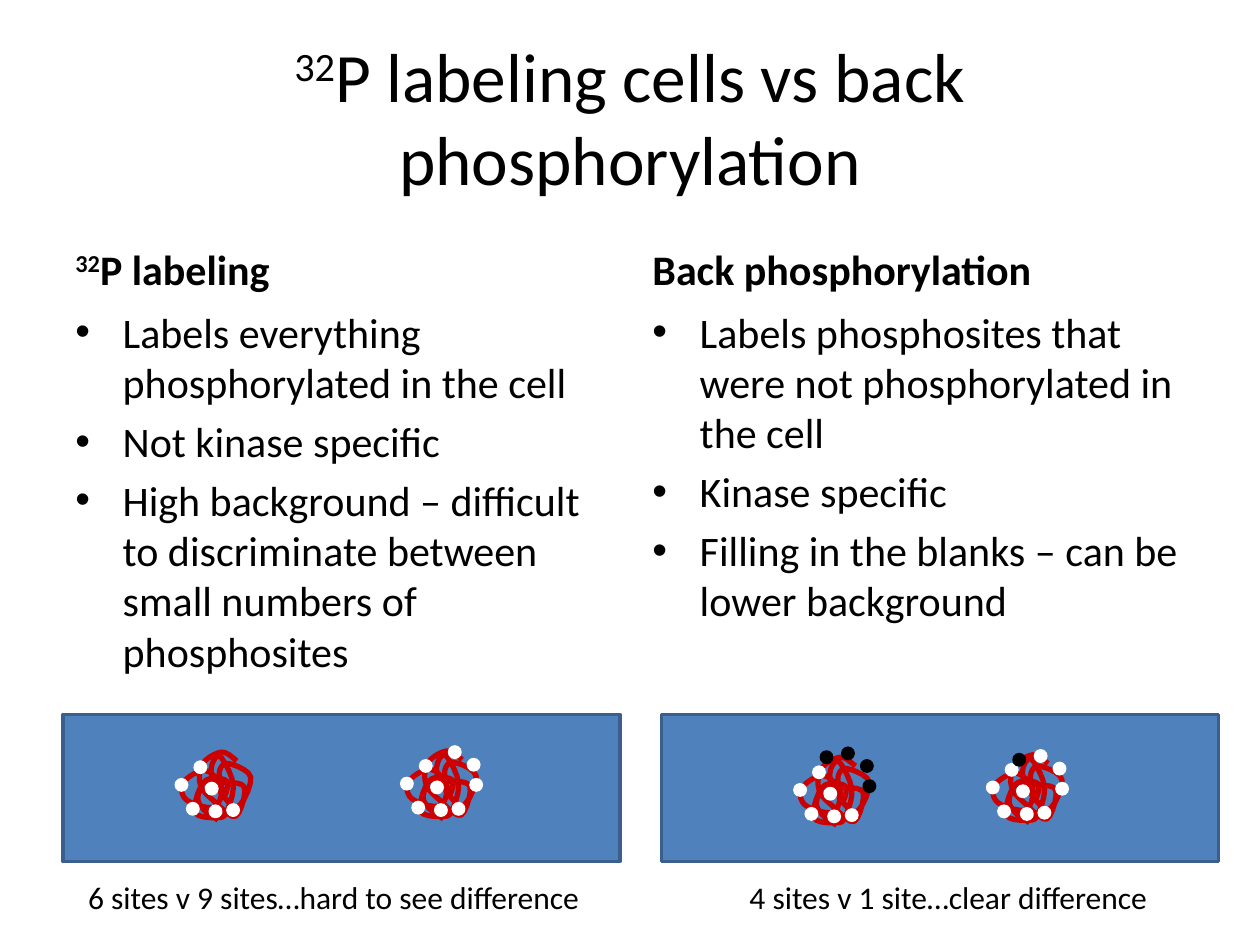
from lxml import etree
from pptx import Presentation
from pptx.dml.color import RGBColor
from pptx.enum.shapes import MSO_SHAPE as Shape
from pptx.enum.text import MSO_ANCHOR as Anchor, PP_ALIGN as Align
from pptx.oxml.ns import qn
from pptx.util import Pt

BLACK = RGBColor(0x00, 0x00, 0x00)
WHITE = RGBColor(0xFF, 0xFF, 0xFF)
GEL_BLUE = RGBColor(0x4F, 0x81, 0xBD)
GEL_EDGE = RGBColor(0x3A, 0x5F, 0x8C)
CHAIN_RED = RGBColor(0xCC, 0x00, 0x00)

COLUMN_WIDTH = 318.25
UNIT = 0.72  # points per protein unit (a hundredth of an inch)
DOT_SIZE = 7.2
CURVE_STEPS = 5

# Turning points of the folded chain, in protein units.
CHAIN_TURNS = [
    (30, 54), (19, 46), (14, 36), (21, 22), (37, 23), (34, 36), (27, 19),
    (16, 15), (2, 25), (5, 38), (26, 44), (33, 32), (31, 16), (38, 9),
    (56, 20), (44, 44), (25, 18), (31, 3), (42, 25), (37, 47), (30, 52),
    (12, 48), (18, 25), (34, 24), (51, 28), (44, 51), (27, 39), (16, 26),
    (18, 9), (33, 0), (45, 7),
]
CORE_SITES = [(20, 24), (5, 40), (-4, 21), (11, 7), (37, 41), (23, 42)]
EDGE_SITES = [(51, 22), (49, 6), (34, -4)]
LAST_SITE = (17, -1)
RAISED_SITES = [(x, y - 4) for x, y in EDGE_SITES + [LAST_SITE]]


def chain_points():
    """Points on a smooth (Catmull-Rom) curve through the turns."""
    padded = [CHAIN_TURNS[0], *CHAIN_TURNS, CHAIN_TURNS[-1]]
    points = [CHAIN_TURNS[0]]
    for turns in zip(padded, padded[1:], padded[2:], padded[3:]):
        for step in range(1, CURVE_STEPS + 1):
            t = step / CURVE_STEPS
            points.append(tuple(
                b + t / 2 * (c - a + t * (2 * a - 5 * b + 4 * c - d
                                          + t * (3 * (b - c) + d - a)))
                for a, b, c, d in zip(*turns)))
    return points


def add_text(paragraph, text, size=24, bold=False, color=BLACK, raised=False):
    run = paragraph.add_run()
    run.text = text
    font = run.font
    font.name, font.size, font.bold = "Calibri", Pt(size), bold
    font.color.rgb = color
    if raised:
        run._r.get_or_add_rPr().set("baseline", "30000")


class SlideBuilder:
    def __init__(self, slide):
        self.shapes = slide.shapes

    def text_box(self, box, paragraphs, anchor=Anchor.TOP, align=Align.LEFT,
                 wrap=True, before=0, bullet=False, **style):
        """Each paragraph is text, or a (superscript, text) pair."""
        frame = self.shapes.add_textbox(*map(Pt, box)).text_frame
        frame.word_wrap, frame.vertical_anchor = wrap, anchor
        for index, content in enumerate(paragraphs):
            paragraph = frame.add_paragraph() if index else frame.paragraphs[0]
            paragraph.alignment, paragraph.space_before = align, Pt(before)
            if bullet:
                self.bullet(paragraph)
            prefix, text = content if isinstance(content, tuple) else ("", content)
            if prefix:
                add_text(paragraph, prefix, raised=True, **style)
            add_text(paragraph, text, **style)

    def bullet(self, paragraph, indent=27):
        props = paragraph._p.get_or_add_pPr()
        props.set("marL", str(Pt(indent)))
        props.set("indent", str(-Pt(indent)))
        etree.SubElement(props, qn("a:buFont")).set("typeface", "Arial")
        etree.SubElement(props, qn("a:buChar")).set("char", "•")

    def preset(self, shapes, kind, box, fill, edge, width):
        shape = shapes.add_shape(kind, *map(Pt, box))
        shape.shadow.inherit = False
        shape.fill.solid()
        shape.fill.fore_color.rgb = fill
        shape.line.color.rgb = edge
        shape.line.width = Pt(width)

    def gel(self, left):
        self.preset(self.shapes, Shape.RECTANGLE, (left, 408.25, COLUMN_WIDTH, 84),
                    GEL_BLUE, GEL_EDGE, 2)

    def protein(self, left, top, white_sites, black_sites=()):
        """A folded chain with its phosphosites, as one group."""
        parts = self.shapes.add_group_shape().shapes
        start, *rest = [(Pt(left + x * UNIT), Pt(top + y * UNIT))
                        for x, y in chain_points()]
        builder = parts.build_freeform(*start)
        builder.add_line_segments(rest, close=False)
        chain = builder.convert_to_shape()
        chain.shadow.inherit = False
        chain.fill.background()
        chain.line.color.rgb = CHAIN_RED
        chain.line.width = Pt(3)
        for color, sites in ((WHITE, white_sites), (BLACK, black_sites)):
            for x, y in sites:
                box = (left + x * UNIT, top + y * UNIT, DOT_SIZE, DOT_SIZE)
                self.preset(parts, Shape.OVAL, box, color, color, 0.75)

    def caption(self, left, width, text):
        self.text_box((left, 498.25, width, 28.8), [text], wrap=False, size=18)


def main():
    deck = Presentation()
    deck.slide_width, deck.slide_height = Pt(720), Pt(540)
    page = SlideBuilder(deck.slides.add_slide(deck.slide_layouts[6]))

    page.gel(36)
    page.text_box((36, 21.6, 648, 90),
                  [("32", "P labeling cells vs back phosphorylation")],
                  anchor=Anchor.MIDDLE, align=Align.CENTER, size=39.6)
    columns = [
        (36, ("32", "P labeling"),
         ["Labels everything phosphorylated in the cell",
          "Not kinase specific",
          "High background – difficult to discriminate between small numbers "
          "of phosphosites"]),
        (365.75, "Back phosphorylation",
         ["Labels phosphosites that were not phosphorylated in the cell",
          "Kinase specific",
          "Filling in the blanks – can be lower background"]),
    ]
    for left, heading, points in columns:
        page.text_box((left, 121, COLUMN_WIDTH, 50.4), [heading],
                      anchor=Anchor.BOTTOM, before=4.8, bold=True)
        page.text_box((left, 171.4, COLUMN_WIDTH, 311), points,
                      before=4.8, bullet=True)

    page.protein(103, 429.8, CORE_SITES)
    page.protein(231.8, 429.1, CORE_SITES + EDGE_SITES)
    page.caption(43.2, 298.8, "6 sites v 9 sites…hard to see difference")

    page.gel(378)
    page.protein(566.6, 431.3, CORE_SITES + EDGE_SITES, [LAST_SITE])
    page.protein(456.5, 432.7, CORE_SITES, RAISED_SITES)
    page.caption(421.2, 244.8, "4 sites v 1 site…clear difference")

    deck.save("out.pptx")


if __name__ == "__main__":
    main()
